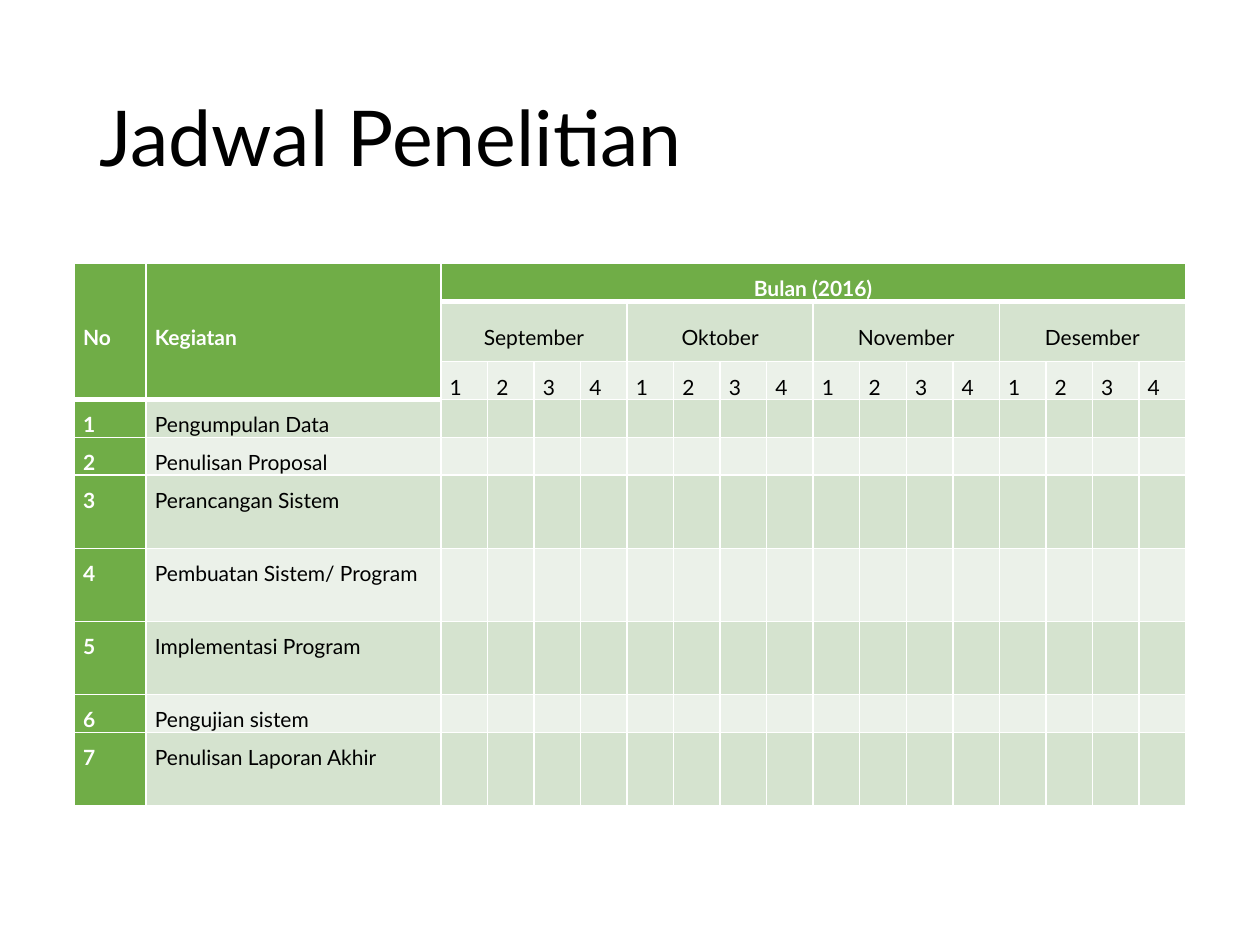
from lxml.etree import SubElement as Sub
from pptx import Presentation
from pptx.dml.color import RGBColor
from pptx.enum.text import MSO_ANCHOR as Anchor, PP_ALIGN as Align
from pptx.oxml.ns import qn
from pptx.util import Inches, Pt

GREEN, DARK, LIGHT = "70AD47", "D5E3CF", "EBF1E9"
WHITE, BLACK = "FFFFFF", "000000"


def style(para, size, color, bold=False, **form):
    for key, val in form.items():
        setattr(para, key, val)
    look = {"name": "Lato", "size": Pt(size), "bold": bold}
    for run in para.runs:
        for key, val in look.items():
            setattr(run.font, key, val)
        run.font.color.rgb = RGBColor.from_string(color)


def edge(cell, side, width):
    line = Sub(cell._tc.get_or_add_tcPr(), qn("a:ln" + side), w=str(Pt(width)))
    Sub(Sub(line, qn("a:solidFill")), qn("a:srgbClr"), val=WHITE)


deck = Presentation()
deck.slide_width, deck.slide_height = Inches(10), Inches(7.5)
slide = deck.slides.add_slide(deck.slide_layouts[6])

# Title
box = slide.shapes.add_textbox(*map(Inches, (0.69, 0.4, 8.62, 1.45)))
frame = box.text_frame
frame.word_wrap = True
frame.vertical_anchor = Anchor.MIDDLE
frame.text = "Jadwal Penelitian"
style(frame.paragraphs[0], 44, BLACK, line_spacing=0.9)

# Wording by (row, column)
months = ["September", "Oktober", "November", "Desember"]
tasks = ["Pengumpulan Data", "Penulisan Proposal", "Perancangan Sistem",
         "Pembuatan Sistem/ Program", "Implementasi Program",
         "Pengujian sistem", "Penulisan Laporan Akhir"]
words = {(0, 0): "No", (0, 1): "Kegiatan", (0, 2): "Bulan (2016)"}
for m, month in enumerate(months):
    words[1, 2 + 4 * m] = month
    for week in range(4):
        words[2, 2 + 4 * m + week] = str(week + 1)
for t, task in enumerate(tasks):
    words[3 + t, 0] = str(t + 1)
    words[3 + t, 1] = task

# Grid: two label columns, then sixteen equal weeks
wide, low, tall = 8.82, 0.3, 0.58
cols = [0.57, 2.34]
cols += [(wide - sum(cols)) / 16] * 16
rows = [low, 0.48, low, low, low, tall, tall, tall, low, tall]
grid = slide.shapes.add_table(
    len(rows), len(cols), *map(Inches, (0.59, 2.09, wide, sum(rows)))).table
for col, width in zip(grid.columns, cols):
    col.width = Inches(width)
for row, height in zip(grid.rows, rows):
    row.height = Inches(height)

# Merged headings
spans = [(0, 0, 2, 0), (0, 1, 2, 1), (0, 2, 0, 17)]
spans += [(1, c, 1, c + 3) for c in range(2, 18, 4)]
for top, left, end, right in spans:
    grid.cell(top, left).merge(grid.cell(end, right))

# Cells
for r in range(len(rows)):
    for c in range(len(cols)):
        cell = grid.cell(r, c)
        head = r == 0 or (r < 3 and c < 2)
        green = head or c == 0
        center = r < 2 and c > 1
        for side in "LRTB":
            edge(cell, side, 3 if head and side == "B" else 1)
        shade = GREEN if green else DARK if r % 2 else LIGHT
        cell.fill.solid()
        cell.fill.fore_color.rgb = RGBColor.from_string(shade)
        form = {"margin_left": Inches(0.07), "margin_right": Inches(0.07),
                "margin_top": 0, "margin_bottom": 0,
                "vertical_anchor": Anchor.MIDDLE if head or r == 1
                else Anchor.TOP}
        for key, val in form.items():
            setattr(cell, key, val)
        para = cell.text_frame.paragraphs[0]
        if (r, c) in words:
            cell.text = words[r, c]
            para = cell.text_frame.paragraphs[0]
            style(para, 12, WHITE if green else BLACK, green, line_spacing=1.5,
                  alignment=Align.CENTER if center else Align.JUSTIFY)
        else:
            # Keep blank cells from stretching their row
            Sub(para._p, qn("a:endParaRPr"), sz="1200")

deck.save("out.pptx")
